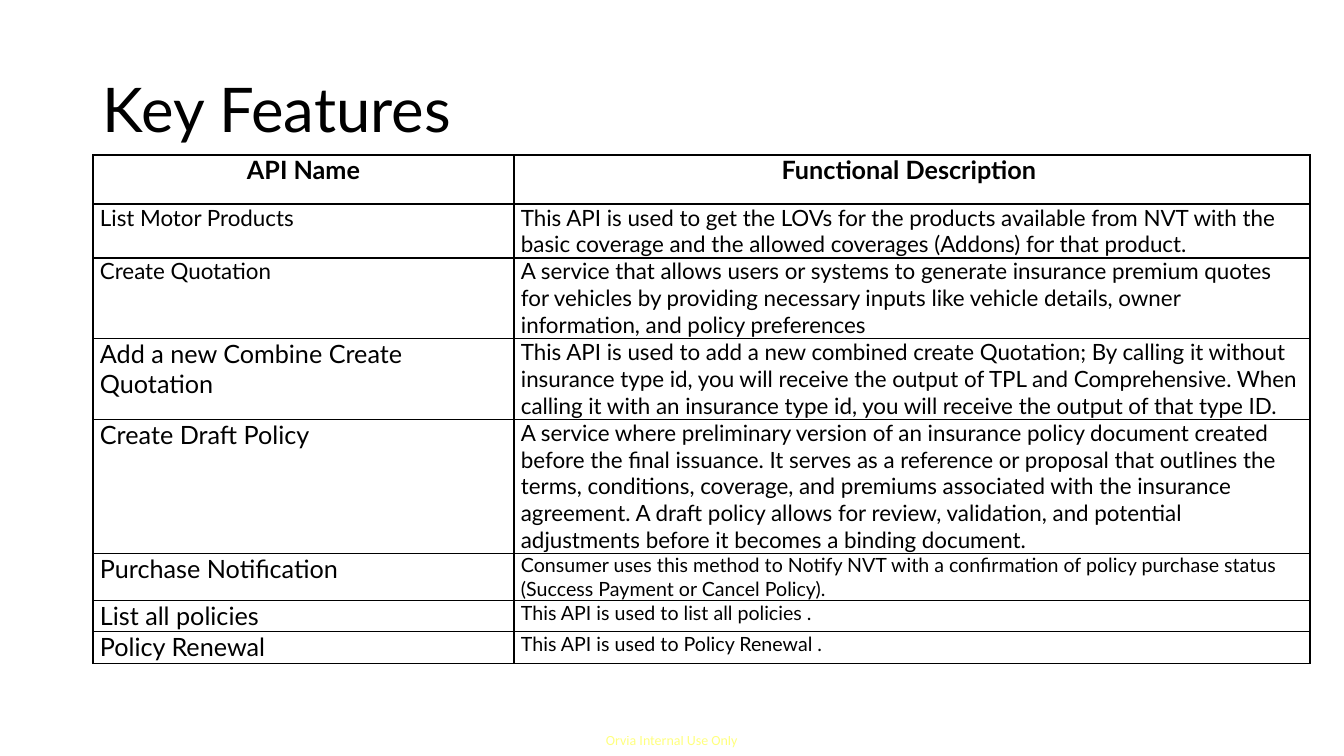
from lxml.etree import SubElement
from pptx import Presentation
from pptx.dml.color import RGBColor
from pptx.enum.text import MSO_ANCHOR as Anchor, PP_ALIGN as Align
from pptx.oxml import parse_xml
from pptx.oxml.ns import nsdecls, qn
from pptx.util import Pt

TITLE = "Key Features"
FOOTER = "Orvia Internal Use Only"
HEADS = ("API Name", "Functional Description ")
# name, name size, description, description size, row height
ROWS = [
    ("List Motor Products", 16,
     "This API is used to get the LOVs for the products available from NVT "
     "with the basic coverage and the allowed coverages (Addons) for that "
     "product.", 16, 54),
    ("Create Quotation", 16,
     "A service that allows users or systems to generate insurance premium "
     "quotes for vehicles by providing necessary inputs like vehicle details, "
     "owner information, and policy preferences", 16, 80),
    ("Add a new Combine Create Quotation", 18,
     "This API is used to add a new combined create Quotation; By calling it "
     "without insurance type id, you will receive the output of TPL and "
     "Comprehensive. When calling it with an insurance type id, you will "
     "receive the output of that type ID.", 16, 80),
    ("Create Draft Policy", 18,
     "A service where preliminary version of an insurance policy document "
     "created before the final issuance. It serves as a reference or proposal "
     "that outlines the terms, conditions, coverage, and premiums associated "
     "with the insurance agreement. A draft policy allows for review, "
     "validation, and potential adjustments before it becomes a binding "
     "document.", 16, 134),
    ("Purchase Notification", 18,
     "Consumer uses this method to Notify NVT with a confirmation of policy "
     "purchase status (Success Payment or Cancel Policy).", 14, 47),
    ("List all policies", 18, "This API is used to list all policies .", 14, 31),
    ("Policy Renewal", 18, "This API is used to Policy Renewal .", 14, 32),
]
COLS = (421, 796)
HEAD_H = 49
INSET = 7
BLACK, YELLOW = "000000", "FFFF00"


def px(n):
    return round(n * 914400 / 100.8)


def color(code):
    return RGBColor.from_string(code)


def style(para, size, font="Lato", code=BLACK, bold=False):
    para.font.name = font
    para.font.size = Pt(size)
    para.font.bold = bold
    para.font.color.rgb = color(code)


def label(slide, text, left, top, width, height):
    box = slide.shapes.add_textbox(px(left), px(top), px(width), px(height))
    box.text_frame.text = text
    return box.text_frame, box.text_frame.paragraphs[0]


def border(cell):
    """Draw a thin black line on all four sides of the cell."""
    props = cell._tc.get_or_add_tcPr()
    for i, side in enumerate("LRTB"):
        props.insert(i, parse_xml(
            f'<a:ln{side} {nsdecls("a")} w="12700"><a:solidFill>'
            f'<a:srgbClr val="{BLACK}"/></a:solidFill></a:ln{side}>'))


def write(cell, text, size, head=False):
    cell.margin_left = cell.margin_right = px(INSET)
    cell.margin_top = cell.margin_bottom = 0
    cell.fill.background()
    border(cell)
    cell.text = text
    para = cell.text_frame.paragraphs[0]
    style(para, size, bold=head)
    para.alignment = Align.CENTER if head else Align.LEFT


def main():
    prs = Presentation()
    prs.slide_width, prs.slide_height = px(1344), px(756)
    slide = prs.slides.add_slide(prs.slide_layouts[6])

    frame, para = label(slide, FOOTER, 606, 732, 135, 17)
    frame.margin_left = frame.margin_right = 0
    frame.margin_top = frame.margin_bottom = 0
    style(para, 10, "Calibri", YELLOW)
    for tone in para._p.iter(qn("a:srgbClr")):
        SubElement(tone, qn("a:alpha"), val="50000")

    frame, para = label(slide, TITLE, 93, 40, 1159, 146)
    frame.word_wrap = True
    frame.vertical_anchor = Anchor.MIDDLE
    para.line_spacing = 0.9
    style(para, 44)

    heights = [HEAD_H] + [row[-1] for row in ROWS]
    table = slide.shapes.add_table(
        len(heights), len(COLS), px(93), px(155),
        px(sum(COLS)), px(sum(heights))).table
    table.first_row = table.horz_banding = False
    for col, width in zip(table.columns, COLS):
        col.width = px(width)
    for row, height in zip(table.rows, heights):
        row.height = px(height)

    for c, text in enumerate(HEADS):
        write(table.cell(0, c), text, 18, head=True)
    for r, (name, big, about, small, _) in enumerate(ROWS, 1):
        write(table.cell(r, 0), name, big)
        write(table.cell(r, 1), about, small)

    prs.save("out.pptx")


if __name__ == "__main__":
    main()
